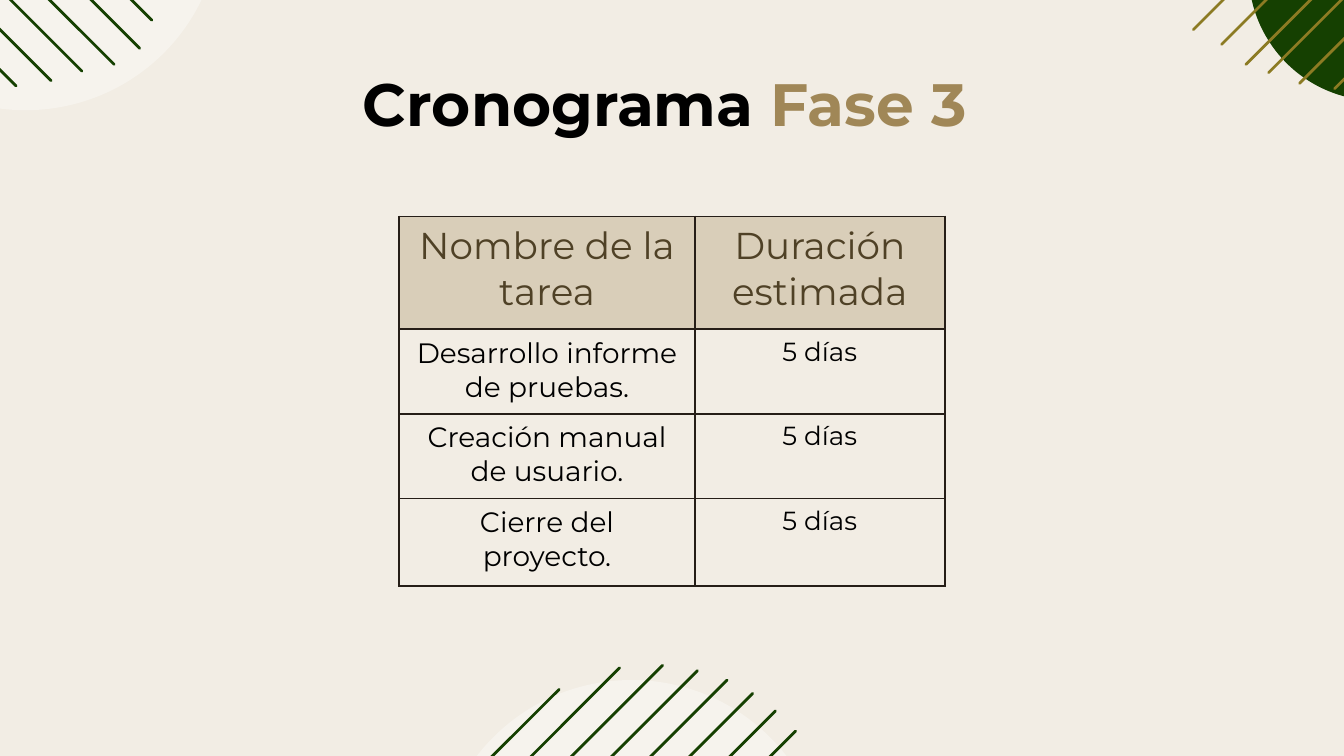
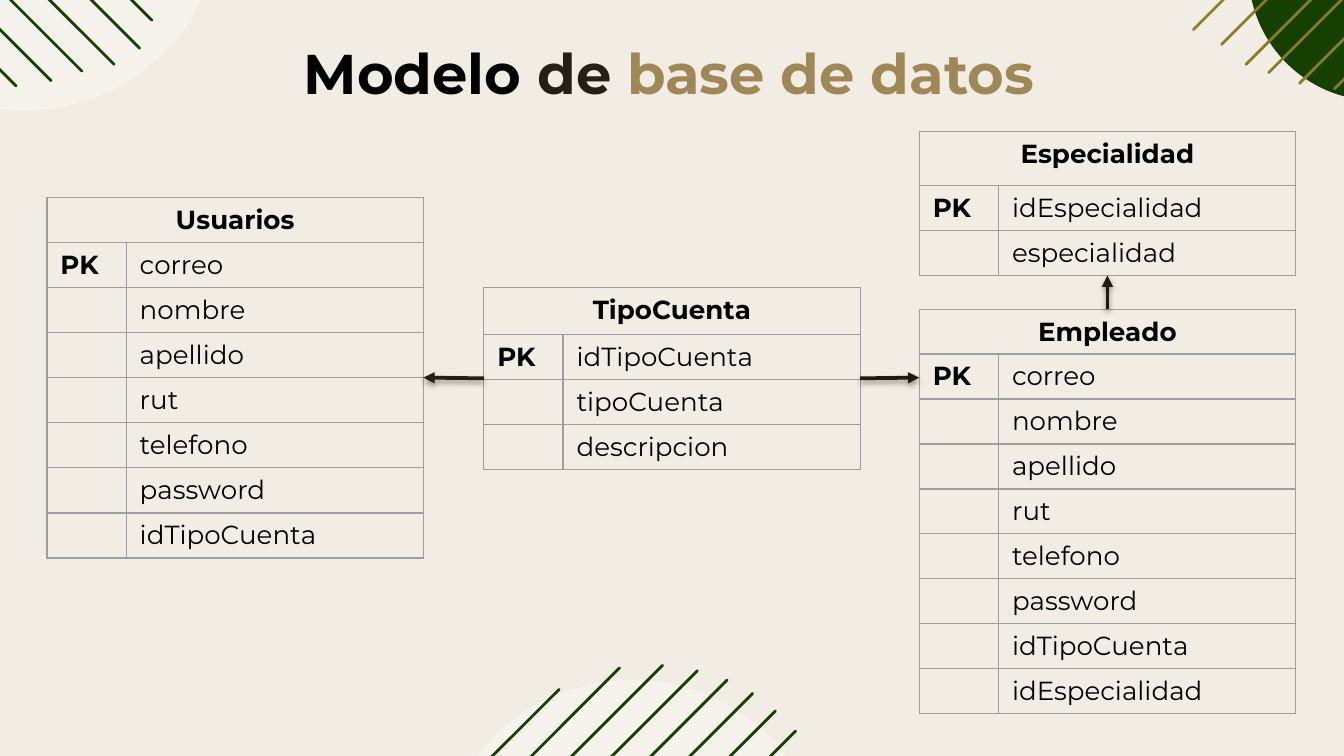
"""Build two project slides: a phase schedule and a database model."""
from dataclasses import dataclass
from typing import Optional

from lxml.etree import SubElement
from pptx import Presentation
from pptx.dml.color import RGBColor
from pptx.enum.shapes import MSO_CONNECTOR, MSO_SHAPE
from pptx.enum.text import MSO_ANCHOR, MSO_AUTO_SIZE, PP_ALIGN
from pptx.oxml.ns import qn
from pptx.util import Inches, Pt


@dataclass(frozen=True)
class Theme:
    """Fonts, colours and type sizes of the deck."""
    font: str = "Montserrat"
    paper: str = "F2EDE4"
    white: str = "FFFFFF"
    black: str = "000000"
    green: str = "154001"
    olive: str = "8C7B23"
    gold: str = "A08757"
    brown: str = "261E17"
    dark: str = "201A0F"
    sand: str = "D9CEB9"
    umber: str = "4F4126"
    gray: str = "9E9E9E"
    title: int = 32
    model: int = 30
    head: int = 20
    task: int = 15
    body: int = 14


LOOK = Theme()


@dataclass(frozen=True)
class Corner:
    """A disc crossed by diagonal rays, each given as x, y and reach."""
    disc: tuple[float, float, float, float]
    fill: str
    alpha: int
    ink: str
    way: tuple[int, int]
    rays: tuple[tuple[float, float, float], ...]


@dataclass(frozen=True)
class Style:
    """The look of the text and ground of a cell."""
    size: int = LOOK.body
    color: str = LOOK.black
    bold: bool = False
    align: PP_ALIGN = PP_ALIGN.LEFT
    fill: Optional[str] = None


@dataclass(frozen=True)
class Border:
    """The line around each cell."""
    color: str
    width: float


@dataclass(frozen=True)
class Entity:
    """A database table with its key field first."""
    name: str
    left: float
    top: float
    height: float
    head: float
    fields: tuple[str, ...]


@dataclass(frozen=True)
class Link:
    """An arrow between sides of entities, or to a fixed point."""
    start: str
    side: int
    end: str
    goal: Optional[int]
    color: str
    point: tuple[float, float] = (0, 0)


CORNERS = (
    Corner((9.29, -1.17, 1.92, 1.92), LOOK.green, 100, LOOK.olive, (1, -1),
           ((8.88, 0.22, 2.04), (9.09, 0.33, 2), (9.27, 0.48, 1.95),
            (9.44, 0.54, 1.86), (9.67, 0.62, 1.71), (9.93, 0.66, 1.49))),
    Corner((-1.26, -2.06, 2.9, 2.88), LOOK.white, 36, LOOK.green, (-1, -1),
           ((1.13, 0.15, 2), (1.04, 0.36, 2.06), (0.85, 0.48, 2),
            (0.61, 0.53, 1.86), (0.38, 0.6, 1.71), (0.12, 0.64, 1.49))),
    Corner((3.25, 5.06, 2.9, 2.88), LOOK.white, 36, LOOK.green, (-1, 1),
           ((5.92, 5.44, 2), (5.77, 5.29, 2.06), (5.6, 5.16, 2),
            (5.41, 5.06, 1.86), (5.19, 4.99, 1.71), (4.93, 4.95, 1.49),
            (4.61, 4.97, 1.16), (4.16, 5.13, 0.54))),
)
TASKS = ("Desarrollo informe de pruebas.", "Creación manual de usuario.",
         "Cierre del proyecto.")
PERSON = ("correo", "nombre", "apellido", "rut", "telefono", "password",
          "idTipoCuenta")
MODEL = (
    Entity("TipoCuenta", 3.6, 2.14, 1.35, 0.35,
           ("idTipoCuenta", "tipoCuenta", "descripcion")),
    Entity("Usuarios", 0.35, 1.47, 2.68, 0.33, PERSON),
    Entity("Especialidad", 6.84, 0.98, 1.07, 0.4,
           ("idEspecialidad", "especialidad")),
    Entity("Empleado", 6.84, 2.3, 3.01, 0.33, PERSON + ("idEspecialidad",)),
)
LINKS = (
    Link("TipoCuenta", 1, "Usuarios", 3, LOOK.brown),
    Link("Empleado", 0, "Especialidad", 2, LOOK.dark),
    Link("TipoCuenta", 3, "Empleado", None, LOOK.dark, (6.84, 2.81)),
)


def rgb(code: str) -> RGBColor:
    """Turn a hex code into a colour."""
    return RGBColor.from_string(code)


def ink(run, size: int, color: str, bold: bool) -> None:
    """Format one run."""
    font = run.font
    font.name, font.size, font.bold = LOOK.font, Pt(size), bold
    font.color.rgb = rgb(color)


def stroke(shapes, start, end, color: str, width: float):
    """Draw a straight line without a shadow."""
    line = shapes.add_connector(MSO_CONNECTOR.STRAIGHT,
                                *map(Inches, (*start, *end)))
    line.line.color.rgb = rgb(color)
    line.line.width = Pt(width)
    SubElement(line.element.spPr, qn("a:effectLst"))
    return line


def adorn(slide, corner: Corner) -> None:
    """Draw a corner and move it to the layout of the slide."""
    group = slide.shapes.add_group_shape()
    disc = group.shapes.add_shape(MSO_SHAPE.OVAL, *map(Inches, corner.disc))
    disc.shadow.inherit = False
    disc.line.fill.background()
    disc.fill.solid()
    disc.fill.fore_color.rgb = rgb(corner.fill)
    if corner.alpha < 100:
        tint = disc.element.spPr.find(".//" + qn("a:srgbClr"))
        SubElement(tint, qn("a:alpha"), val=str(corner.alpha * 1000))
    across, down = corner.way
    for x, y, reach in corner.rays:
        ray = stroke(group.shapes, (x, y),
                     (x + across * reach, y + down * reach), corner.ink, 1.5)
        ray.element.spPr.find(qn("a:ln")).set("cap", "rnd")
    tree = slide.slide_layout.shapes.element
    tree.append(group.element)
    for count, item in enumerate(tree.iter(qn("p:cNvPr")), 1):
        item.set("id", str(count))


def head(slide, box, size: int, parts) -> None:
    """Place the title and colour its parts."""
    title = slide.shapes.title
    title.left, title.top, title.width, title.height = map(Inches, box)
    frame = title.text_frame
    frame.word_wrap = True
    frame.auto_size = MSO_AUTO_SIZE.SHAPE_TO_FIT_TEXT
    frame.vertical_anchor = MSO_ANCHOR.TOP
    line = frame.paragraphs[0]
    line.alignment = PP_ALIGN.LEFT
    for text, color in parts:
        run = line.add_run()
        run.text = text
        ink(run, size, color, True)


def write(cell, text: str, style: Style, border: Border) -> None:
    """Fill one cell with its text, borders and ground."""
    cell.text_frame.text = text
    line = cell.text_frame.paragraphs[0]
    line.alignment = style.align
    for run in line.runs:
        ink(run, style.size, style.color, style.bold)
    if not text:
        SubElement(line._p, qn("a:endParaRPr"), sz=str(style.size * 100))
    props = cell._tc.get_or_add_tcPr()
    for side in ("lnL", "lnR", "lnT", "lnB"):
        edge = SubElement(props, qn("a:" + side), w=str(Pt(border.width)))
        fill = SubElement(edge, qn("a:solidFill"))
        SubElement(fill, qn("a:srgbClr"), val=border.color)
    if style.fill:
        cell.fill.solid()
        cell.fill.fore_color.rgb = rgb(style.fill)
    else:
        cell.fill.background()


def grid(slide, spot, cols, rows, cells, border: Border):
    """Add a plain table whose cells are pairs of text and style."""
    size = (sum(cols), sum(rows))
    frame = slide.shapes.add_table(len(rows), len(cols),
                                   *map(Inches, (*spot, *size)))
    table = frame.table
    table.first_row = table.horz_banding = False
    for col, width in zip(table.columns, cols):
        col.width = Inches(width)
    for row, height, line in zip(table.rows, rows, cells):
        row.height = Inches(height)
        for cell, (text, style) in zip(row.cells, line):
            write(cell, text, style, border)
    return frame


def chart(slide, item: Entity):
    """Draw one entity of the model."""
    plain, bold = Style(), Style(bold=True)
    top = Style(bold=True, align=PP_ALIGN.CENTER)
    count = len(item.fields)
    rows = [item.head] + [(item.height - item.head) / count] * count
    cells = [[(item.name, top), ("", top)]]
    cells += [[("" if n else "PK", bold), (field, plain)]
              for n, field in enumerate(item.fields)]
    frame = grid(slide, (item.left, item.top), (0.59, 2.21), rows, cells,
                 Border(LOOK.gray, 0.75))
    frame.table.cell(0, 0).merge(frame.table.cell(0, 1))
    return frame


def join(slide, link: Link, frames) -> None:
    """Draw an arrow with a soft shadow between entities."""
    arrow = stroke(slide.shapes, link.point, link.point, link.color, 2)
    arrow.begin_connect(frames[link.start], link.side)
    if link.goal is not None:
        arrow.end_connect(frames[link.end], link.goal)
    props = arrow.element.spPr
    SubElement(props.find(qn("a:ln")), qn("a:tailEnd"), type="triangle")
    shade = SubElement(props.find(qn("a:effectLst")), qn("a:outerShdw"),
                       blurRad=str(Pt(3.1)), dist=str(Pt(1.6)),
                       dir="5400000", rotWithShape="0")
    tint = SubElement(shade, qn("a:srgbClr"), val=LOOK.black)
    SubElement(tint, qn("a:alpha"), val="38000")


def plan(slide) -> None:
    """Build the schedule slide."""
    head(slide, (2.6, 0.45, 4.81, 0.64), LOOK.title,
         (("Cronograma ", LOOK.black), ("Fase 3", LOOK.gold)))
    mid = PP_ALIGN.CENTER
    top = Style(LOOK.head, LOOK.umber, align=mid, fill=LOOK.sand)
    task, days = Style(LOOK.task, align=mid), Style(align=mid)
    cells = [[("Nombre de la tarea", top), ("Duración estimada", top)]]
    cells += [[(name, task), ("5 días", days)] for name in TASKS]
    grid(slide, (2.97, 1.61), (2.2, 1.86), (0.84, 0.63, 0.63, 0.65), cells,
         Border(LOOK.brown, 1))


def model(slide) -> None:
    """Build the database slide."""
    head(slide, (2.16, 0.24, 5.67, 0.61), LOOK.model,
         (("Modelo ", LOOK.black), ("de", LOOK.brown),
          (" base de datos", LOOK.gold)))
    frames = {item.name: chart(slide, item) for item in MODEL}
    for link in LINKS:
        join(slide, link, frames)


def main() -> None:
    """Build and save the deck."""
    deck = Presentation()
    deck.slide_width = Inches(10)
    deck.slide_height = deck.slide_width * 9 // 16
    ground = deck.slide_master.background.fill
    ground.solid()
    ground.fore_color.rgb = rgb(LOOK.paper)
    layout = deck.slide_layouts.get_by_name("Title Only")
    first, second = (deck.slides.add_slide(layout) for _ in range(2))
    for corner in CORNERS:
        adorn(first, corner)
    plan(first)
    model(second)
    deck.save("out.pptx")


if __name__ == "__main__":
    main()
